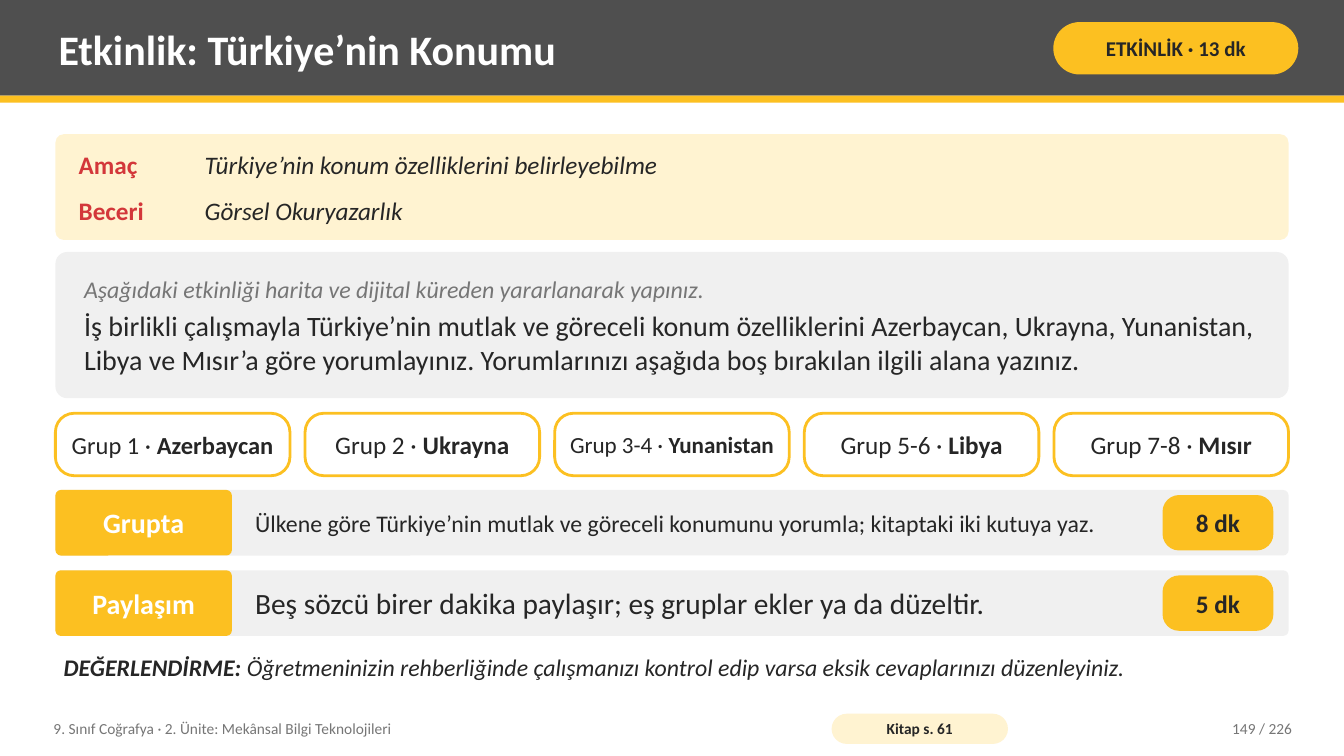
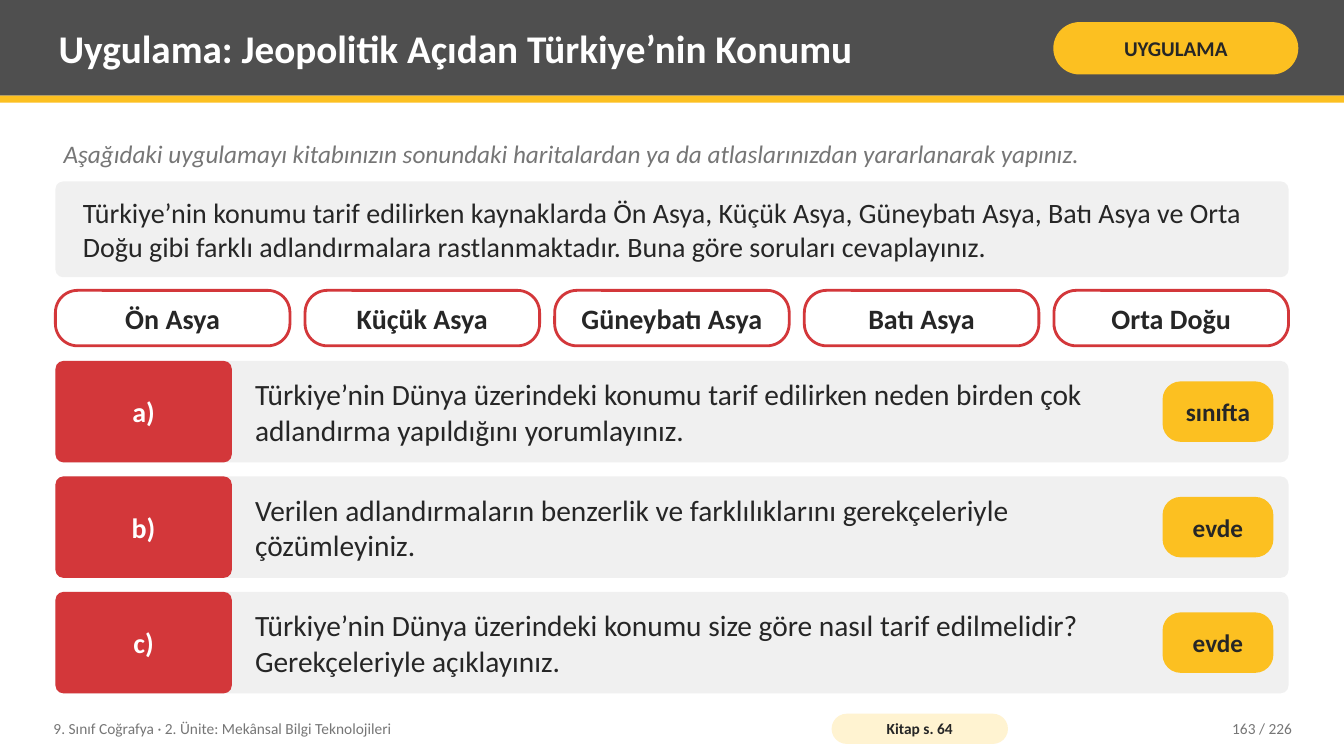
from pptx import Presentation
from pptx.dml.color import RGBColor
from pptx.enum.shapes import MSO_SHAPE
from pptx.enum.text import MSO_ANCHOR, MSO_AUTO_SIZE, PP_ALIGN
from pptx.util import Pt

RECT, ROUND = MSO_SHAPE.RECTANGLE, MSO_SHAPE.ROUNDED_RECTANGLE
LEFT, MID, RIGHT = PP_ALIGN.LEFT, PP_ALIGN.CENTER, PP_ALIGN.RIGHT
CENTRE, FIXED = MSO_ANCHOR.MIDDLE, MSO_AUTO_SIZE.NONE

# Colours, font and shared measures
WHITE = RGBColor(0xFF, 0xFF, 0xFF)
DARK = RGBColor(0x4F, 0x4F, 0x4F)
INK = RGBColor(0x26, 0x26, 0x26)
MUTED = RGBColor(0x76, 0x76, 0x76)
PALE = RGBColor(0xF0, 0xF0, 0xF0)
CREAM = RGBColor(0xFF, 0xF3, 0xD1)
GOLD = RGBColor(0xFC, 0xC0, 0x21)
RED = RGBColor(0xD3, 0x37, 0x3A)
FONT = "Calibri"
PAGE_W, PAGE_H = 960, 540
EDGE, WIDTH, GAP = 39.6, 880.8, 10.8
INSET = (5.8, 2.9)
UNIT = "9. Sınıf Coğrafya · 2. Ünite: Mekânsal Bilgi Teknolojileri"

# Content: a run is (text, size, colour, style)
TASK = {
    "title": ("Etkinlik: Türkiye’nin Konumu", 30),
    "badge": "ETKİNLİK · 13 dk", "book": "Kitap s. 61", "page": "149 / 226",
}
GOALS = [
    ("Amaç", "Türkiye’nin konum özelliklerini belirleyebilme", 100.1, 35.3),
    ("Beceri", "Görsel Okuryazarlık", 133.9, 33.1),
]
BRIEF = [
    [("Aşağıdaki etkinliği harita ve dijital küreden yararlanarak yapınız.",
      17.1, MUTED, "i")],
    [("İş birlikli çalışmayla Türkiye’nin mutlak ve göreceli konum "
      "özelliklerini Azerbaycan, Ukrayna, Yunanistan, Libya ve Mısır’a göre "
      "yorumlayınız. Yorumlarınızı aşağıda boş bırakılan ilgili alana "
      "yazınız.", 20, INK, "")],
]
GROUPS = [
    ("Grup 1 · ", "Azerbaycan", 17.5), ("Grup 2 · ", "Ukrayna", 18),
    ("Grup 3-4 · ", "Yunanistan", 16.5), ("Grup 5-6 · ", "Libya", 18),
    ("Grup 7-8 · ", "Mısır", 18),
]
STEPS = [
    ("Grupta", "Ülkene göre Türkiye’nin mutlak ve göreceli konumunu yorumla; "
     "kitaptaki iki kutuya yaz.", 17, "8 dk"),
    ("Paylaşım", "Beş sözcü birer dakika paylaşır; eş gruplar ekler ya da "
     "düzeltir.", 21, "5 dk"),
]
CHECK = [
    ("DEĞERLENDİRME:", 17, INK, "bi"),
    (" Öğretmeninizin rehberliğinde çalışmanızı kontrol edip varsa eksik "
     "cevaplarınızı düzenleyiniz.", 17, INK, "i"),
]
DRILL = {
    "title": ("Uygulama: Jeopolitik Açıdan Türkiye’nin Konumu", 28),
    "badge": "UYGULAMA", "book": "Kitap s. 64", "page": "163 / 226",
}
HINT = ("Aşağıdaki uygulamayı kitabınızın sonundaki haritalardan ya da "
        "atlaslarınızdan yararlanarak yapınız.", 18, MUTED, "i")
PROMPT = ("Türkiye’nin konumu tarif edilirken kaynaklarda Ön Asya, Küçük Asya, "
          "Güneybatı Asya, Batı Asya ve Orta Doğu gibi farklı adlandırmalara "
          "rastlanmaktadır. Buna göre soruları cevaplayınız.", 20, INK, "")
NAMES = ["Ön Asya", "Küçük Asya", "Güneybatı Asya", "Batı Asya", "Orta Doğu"]
TASKS = [
    ("a)", "Türkiye’nin Dünya üzerindeki konumu tarif edilirken neden birden "
     "çok adlandırma yapıldığını yorumlayınız.", 21, "sınıfta"),
    ("b)", "Verilen adlandırmaların benzerlik ve farklılıklarını "
     "gerekçeleriyle çözümleyiniz.", 21, "evde"),
    ("c)", "Türkiye’nin Dünya üzerindeki konumu size göre nasıl tarif "
     "edilmelidir? Gerekçeleriyle açıklayınız.", 21, "evde"),
]


# Basic parts
def write(shape, paras, align=LEFT, inset=INSET, after=0):
    frame = shape.text_frame
    frame.word_wrap = True
    frame.auto_size = FIXED
    frame.vertical_anchor = CENTRE
    frame.margin_left = frame.margin_right = Pt(inset[0])
    frame.margin_top = frame.margin_bottom = Pt(inset[1])
    for i, runs in enumerate(paras):
        para = frame.paragraphs[0] if i == 0 else frame.add_paragraph()
        para.alignment = align
        if i < len(paras) - 1:
            para.space_after = Pt(after)
        for text, size, color, style in runs:
            run = para.add_run()
            run.text = text
            font = run.font
            font.name, font.size = FONT, Pt(size)
            font.bold, font.italic = "b" in style, "i" in style
            font.color.rgb = color


def label(slide, box, runs, align=LEFT):
    shape = slide.shapes.add_textbox(*map(Pt, box))
    write(shape, [runs], align)


def block(slide, box, fill, round=None, line=None):
    kind = RECT if round is None else ROUND
    shape = slide.shapes.add_shape(kind, *map(Pt, box))
    shape.shadow.inherit = False
    if round is not None:
        shape.adjustments[0] = round
    shape.fill.solid()
    shape.fill.fore_color.rgb = fill
    if line is None:
        shape.line.fill.background()
    else:
        shape.line.color.rgb = line
        shape.line.width = Pt(2)
    return shape


def pill(slide, box, fill, round, runs, inset, line=None):
    shape = block(slide, box, fill, round, line)
    write(shape, [runs], MID, inset)


# Shared frame: bands, title, badge, footer
def start(deck, info):
    slide = deck.slides.add_slide(deck.slide_layouts[5])
    title = slide.shapes.title
    for box, fill in [((0, 0, PAGE_W, 68.4), DARK),
                      ((0, 68.4, PAGE_W, 5), GOLD)]:
        title.element.addprevious(block(slide, box, fill).element)
    title.left, title.top = Pt(36), Pt(5)
    title.width, title.height = Pt(702), Pt(59)
    text, size = info["title"]
    write(title, [[(text, size, WHITE, "b")]])
    pill(slide, (752.4, 15.8, 175, 37.4), GOLD, 0.5,
         [(info["badge"], 15, INK, "b")], (3.6, 1.4))
    label(slide, (32.4, 506.9, 547.2, 26), [(UNIT, 11, MUTED, "")])
    pill(slide, (594, 509.8, 126, 21.6), CREAM, 0.5,
         [(info["book"], 11, INK, "b")], (2.9, 0))
    label(slide, (813.6, 506.9, 115.2, 26),
          [(info["page"], 11, MUTED, "")], RIGHT)
    return slide


# A line of equal chips across the page
def chips(slide, top, high, items, line, round, side):
    wide = (WIDTH - GAP * (len(items) - 1)) / len(items)
    for i, runs in enumerate(items):
        box = (EDGE + i * (wide + GAP), top, wide, high)
        pill(slide, box, WHITE, round, runs, (side, 0), line)


# Stacked rows: tag, text and small pill
def rows(slide, top, high, step, items, fill, tall):
    for i, (tag, text, size, note) in enumerate(items):
        y = top + i * step
        block(slide, (EDGE, y, WIDTH, high), PALE, 0.08)
        pill(slide, (EDGE, y, 126, high), fill, 0.08,
             [(tag, 20, WHITE, "b")], (4.3, 5.8))
        label(slide, (176.4, y, 639.4, high), [(text, size, INK, "")])
        pill(slide, (830.4, y + (high - tall) / 2, 79.2, tall), GOLD, 0.3,
             [(note, 18, INK, "b")], (2.2, 0))


def panel(slide, top, high, paras):
    shape = block(slide, (EDGE, top, WIDTH, high), PALE, 0.08)
    write(shape, paras, inset=(18, 5.8), after=3.8)


def main():
    deck = Presentation()
    deck.slide_width, deck.slide_height = Pt(PAGE_W), Pt(PAGE_H)

    # Group activity
    slide = start(deck, TASK)
    block(slide, (EDGE, 95.8, WIDTH, 75.6), CREAM, 0.08)
    for tag, text, top, high in GOALS:
        label(slide, (50.4, top, 90, high), [(tag, 18, RED, "b")])
        label(slide, (140.4, top, 765.4, high), [(text, 18, INK, "i")])
    panel(slide, 180, 104.4, BRIEF)
    groups = [[(name, size, INK, ""), (land, size, INK, "b")]
              for name, land, size in GROUPS]
    chips(slide, 295.2, 44.6, groups, GOLD, 0.3, 3.6)
    rows(slide, 350, 46.8, 57.4, STEPS, GOLD, 39.6)
    label(slide, (EDGE, 459.4, WIDTH, 34.6), CHECK)

    # Practice questions
    slide = start(deck, DRILL)
    label(slide, (EDGE, 93.6, WIDTH, 32.4), [HINT])
    panel(slide, 129.6, 68.4, [[PROMPT]])
    names = [[(name, 20, INK, "b")] for name in NAMES]
    chips(slide, 207.4, 39.6, names, RED, 0.4, 2.9)
    rows(slide, 257.8, 72.5, 82.5, TASKS, RED, 43.2)

    deck.save("out.pptx")


if __name__ == "__main__":
    main()
